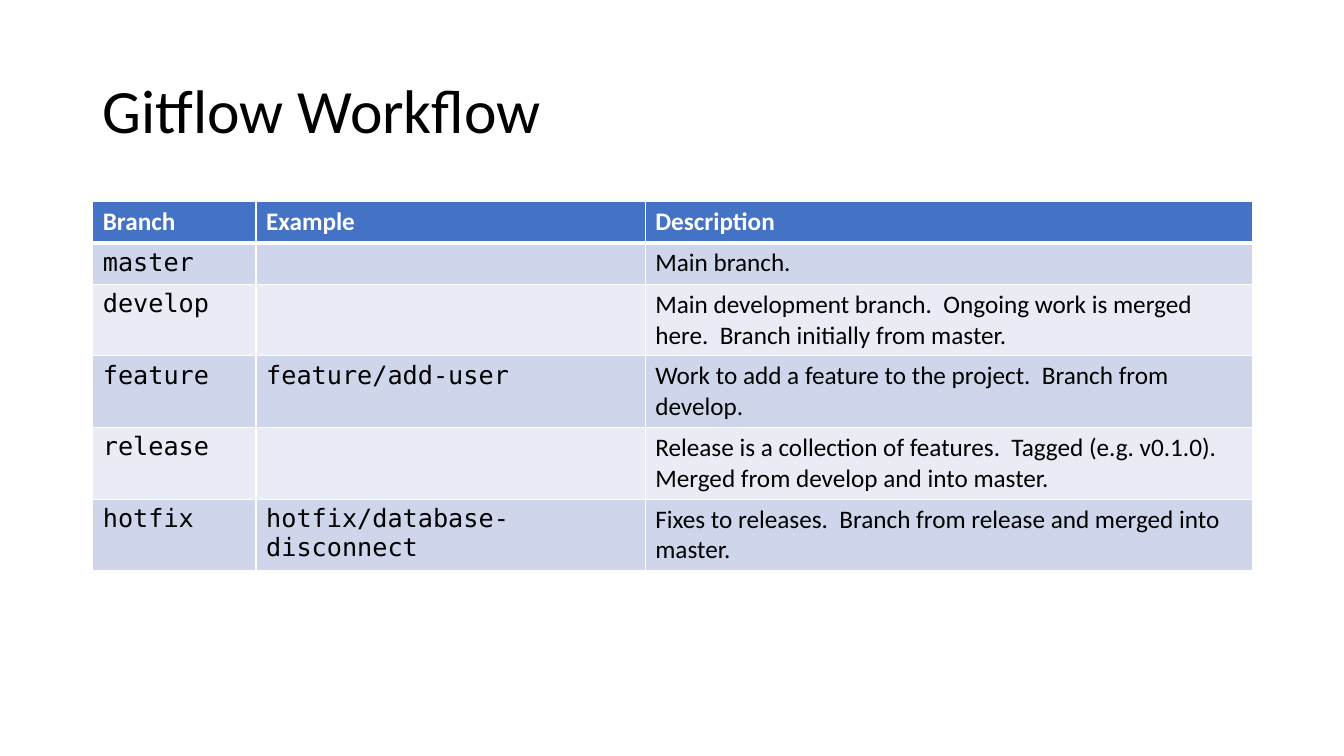
"""Build a slide with a table of the Gitflow branches."""
from lxml import etree
from pptx import Presentation
from pptx.dml.color import RGBColor
from pptx.enum.text import MSO_ANCHOR, PP_ALIGN
from pptx.oxml.ns import qn
from pptx.util import Inches, Pt

LEFT = PP_ALIGN.LEFT
MIDDLE = MSO_ANCHOR.MIDDLE
COLORS = {"text": "000000", "white": "FFFFFF", "header": "4472C4",
          "odd": "CFD5EA", "even": "E9EBF5"}
SANS, MONO = "Calibri", "DejaVu Sans Mono"
COL_WIDTHS = [1.62, 3.86, 6.02]
ROW_HEIGHT = 0.41
ROWS = [
    ("Branch", "Example", "Description"),
    ("master", "", "Main branch."),
    ("develop", "", "Main development branch.  Ongoing work is merged here.  "
     "Branch initially from master."),
    ("feature", "feature/add-user",
     "Work to add a feature to the project.  Branch from develop."),
    ("release", "", "Release is a collection of features.  Tagged (e.g. v0.1.0).  "
     "Merged from develop and into master."),
    ("hotfix", "hotfix/database-disconnect",
     "Fixes to releases.  Branch from release and merged into master."),
]


def format_text(p, font, size, color, bold=False):
    for r in p.runs:
        r.font.name = font
        r.font.size = Pt(size)
        r.font.bold = bold
        r.font.color.rgb = RGBColor.from_string(COLORS[color])


def add_border(cell, side, width):
    ln = etree.SubElement(cell._tc.get_or_add_tcPr(), qn(f"a:ln{side}"), w=str(Pt(width)))
    fill = etree.SubElement(ln, qn("a:solidFill"))
    etree.SubElement(fill, qn("a:srgbClr"), val=COLORS["white"])


prs = Presentation()
prs.slide_width, prs.slide_height = Inches(13.33), Inches(7.5)
s = prs.slides.add_slide(prs.slide_layouts[5])

title = s.shapes.title
title.left, title.top = Inches(0.92), Inches(0.4)
title.width, title.height = Inches(11.5), Inches(1.45)
tf = title.text_frame
tf.text = "Gitflow Workflow"
tf.vertical_anchor = MIDDLE
p = tf.paragraphs[0]
p.alignment = LEFT
p.line_spacing = 0.9
format_text(p, SANS, 44, "text")

table = s.shapes.add_table(len(ROWS), len(COL_WIDTHS), Inches(0.92), Inches(2),
                           Inches(sum(COL_WIDTHS)), Inches(ROW_HEIGHT * len(ROWS))).table
for col, width in zip(table.columns, COL_WIDTHS):
    col.width = Inches(width)

for i, row in enumerate(ROWS):
    table.rows[i].height = Inches(ROW_HEIGHT)
    header = i == 0
    band = "header" if header else ("odd" if i % 2 else "even")
    for j, text in enumerate(row):
        cell = table.cell(i, j)
        for side in "LRTB":
            thick = (header and side == "B") or (i == 1 and side == "T")
            add_border(cell, side, 3 if thick else 1)
        cell.fill.solid()
        cell.fill.fore_color.rgb = RGBColor.from_string(COLORS[band])
        p = cell.text_frame.paragraphs[0]
        p.text = text
        p.font.size = Pt(18)
        format_text(p, SANS if header or j == 2 else MONO, 18,
                    "white" if header else "text", header)

prs.save("out.pptx")
